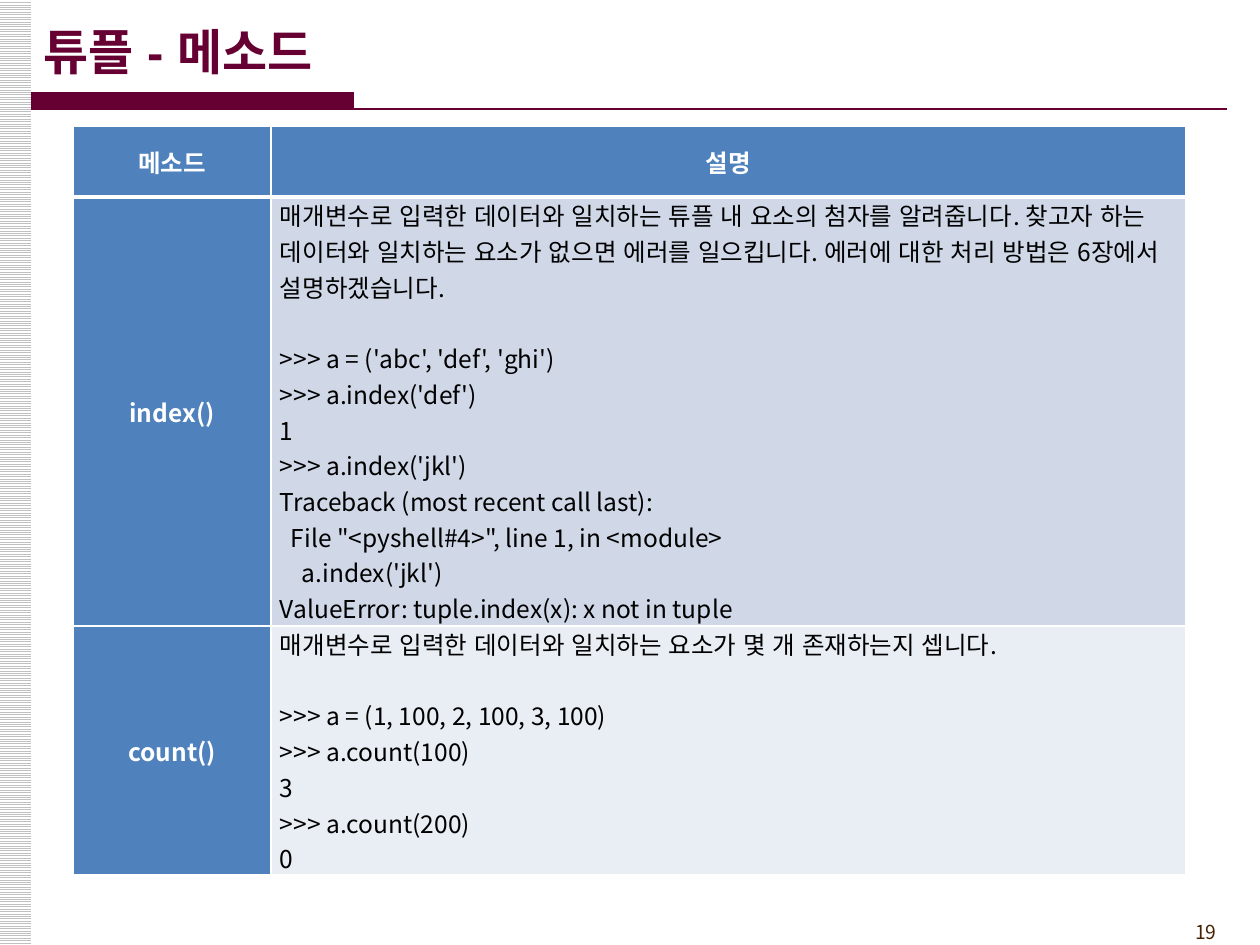
"""Build the slide that describes the tuple methods index() and count()."""
from dataclasses import dataclass

from lxml.etree import SubElement
from pptx import Presentation
from pptx.dml.color import RGBColor
from pptx.enum.dml import MSO_PATTERN
from pptx.enum.lang import MSO_LANGUAGE_ID
from pptx.enum.shapes import MSO_CONNECTOR, MSO_SHAPE
from pptx.enum.text import MSO_ANCHOR, PP_ALIGN
from pptx.oxml.ns import qn
from pptx.util import Emu, Pt

PX_PER_INCH = 126
BODY_FONT = "Noto Sans CJK KR"
TITLE_FONT = "Arial"
WINE = RGBColor(0x66, 0x00, 0x33)
BROWN = RGBColor(0x45, 0x21, 0x03)
SILVER = RGBColor(0xC0, 0xC0, 0xC0)
WHITE = RGBColor(0xFF, 0xFF, 0xFF)
BLACK = RGBColor(0x00, 0x00, 0x00)
BLUE = RGBColor(0x4F, 0x81, 0xBD)
BAND_DARK = RGBColor(0xD0, 0xD8, 0xE8)
BAND_LIGHT = RGBColor(0xE9, 0xED, 0xF4)
CODE_GAP = Pt(20.4)
COLUMN_WIDTHS = (198, 915)
HEADERS = ("메소드", "설명")
HEADER_HEIGHT = 71


@dataclass(frozen=True)
class Box:
    left: int
    top: int
    width: int
    height: int

    def emu(self) -> tuple:
        return tuple(px(v) for v in (self.left, self.top, self.width, self.height))


@dataclass(frozen=True)
class TextStyle:
    size: int
    color: RGBColor
    bold: bool = False
    font: str = BODY_FONT
    align: PP_ALIGN = PP_ALIGN.LEFT


@dataclass(frozen=True)
class CodeLine:
    text: str
    indent: int = 0


@dataclass(frozen=True)
class Method:
    name: str
    description: str
    code: tuple
    height: int
    fill: RGBColor


TITLE = TextStyle(28, WINE, True, TITLE_FONT)
PAGE_NUMBER = TextStyle(11, BROWN, align=PP_ALIGN.RIGHT)
HEADING = TextStyle(14, WHITE, True, align=PP_ALIGN.CENTER)
BODY = TextStyle(14, BLACK)

METHODS = (
    Method(
        "index()",
        "매개변수로 입력한 데이터와 일치하는 튜플 내 요소의 첨자를 알려줍니다. "
        "찾고자 하는 데이터와 일치하는 요소가 없으면 에러를 일으킵니다. "
        "에러에 대한 처리 방법은 6장에서 설명하겠습니다.",
        (
            CodeLine(">>> a = ('abc', 'def', 'ghi')"),
            CodeLine(">>> a.index('def')"),
            CodeLine("1"),
            CodeLine(">>> a.index('jkl')"),
            CodeLine("Traceback (most recent call last):"),
            CodeLine('File "<pyshell#4>", line 1, in <module>', 11),
            CodeLine("a.index('jkl')", 22),
            CodeLine("ValueError: tuple.index(x): x not in tuple"),
        ),
        429,
        BAND_DARK,
    ),
    Method(
        "count()",
        "매개변수로 입력한 데이터와 일치하는 요소가 몇 개 존재하는지 셉니다.",
        (
            CodeLine(">>> a = (1, 100, 2, 100, 3, 100)"),
            CodeLine(">>> a.count(100)"),
            CodeLine("3"),
            CodeLine(">>> a.count(200)"),
            CodeLine("0"),
        ),
        249,
        BAND_LIGHT,
    ),
)


def px(value: int) -> Emu:
    return Emu(round(value * 914400 / PX_PER_INCH))


def write(paragraph, text: str, style: TextStyle) -> None:
    paragraph.text = text
    paragraph.alignment = style.align
    for run in paragraph.runs:
        font = run.font
        font.name, font.size, font.bold = style.font, Pt(style.size), style.bold
        font.color.rgb = style.color
        font.language_id = MSO_LANGUAGE_ID.KOREAN
        SubElement(font._element, qn("a:ea"), typeface=BODY_FONT)


def add_text(slide, box: Box, text: str, style: TextStyle) -> None:
    text_frame = slide.shapes.add_textbox(*box.emu()).text_frame
    text_frame.word_wrap = True
    text_frame.vertical_anchor = MSO_ANCHOR.MIDDLE
    write(text_frame.paragraphs[0], text, style)


def add_rectangle(slide, box: Box):
    shape = slide.shapes.add_shape(MSO_SHAPE.RECTANGLE, *box.emu())
    shape.shadow.inherit = False
    shape.line.fill.background()
    return shape


def add_frame(slide) -> None:
    fill = add_rectangle(slide, Box(-1, 0, 32, 945)).fill
    fill.patterned()
    fill.pattern = MSO_PATTERN.LIGHT_HORIZONTAL
    fill.fore_color.rgb, fill.back_color.rgb = SILVER, WHITE

    bar = add_rectangle(slide, Box(31, 92, 323, 17))
    bar.fill.solid()
    bar.fill.fore_color.rgb = WINE

    rule = slide.shapes.add_connector(
        MSO_CONNECTOR.STRAIGHT, px(31), px(109), px(1227), px(109))
    rule.line.color.rgb, rule.line.width = WINE, Pt(1.5)
    SubElement(rule._element.spPr, qn("a:effectLst"))


def style_cell(cell, fill: RGBColor, bottom: int = 1, top: int = 1) -> None:
    properties = cell._tc.get_or_add_tcPr()
    for side, width in (("L", 1), ("R", 1), ("T", top), ("B", bottom)):
        border = SubElement(properties, qn(f"a:ln{side}"), w=str(Pt(width)))
        solid = SubElement(border, qn("a:solidFill"))
        SubElement(solid, qn("a:srgbClr"), val=str(WHITE))
    cell.fill.solid()
    cell.fill.fore_color.rgb = fill
    cell.vertical_anchor = MSO_ANCHOR.MIDDLE
    cell.margin_left = cell.margin_right = px(9)
    cell.margin_top = cell.margin_bottom = 0


def fill_description(cell, method: Method) -> None:
    text_frame = cell.text_frame
    write(text_frame.paragraphs[0], method.description, BODY)
    for index, line in enumerate(method.code):
        paragraph = text_frame.add_paragraph()
        write(paragraph, line.text, BODY)
        if index == 0:
            paragraph.space_before = CODE_GAP
        if line.indent:
            paragraph._p.get_or_add_pPr().set("marL", str(px(line.indent)))


def add_method_table(slide) -> None:
    heights = (HEADER_HEIGHT, *(method.height for method in METHODS))
    box = Box(73, 126, sum(COLUMN_WIDTHS), sum(heights))
    table = slide.shapes.add_table(len(heights), len(COLUMN_WIDTHS), *box.emu()).table
    for column, width in zip(table.columns, COLUMN_WIDTHS):
        column.width = px(width)
    for row, height in zip(table.rows, heights):
        row.height = px(height)
    for index, header in enumerate(HEADERS):
        cell = table.cell(0, index)
        style_cell(cell, BLUE, bottom=3)
        write(cell.text_frame.paragraphs[0], header, HEADING)
    for index, method in enumerate(METHODS, start=1):
        name, description = table.cell(index, 0), table.cell(index, 1)
        top = 3 if index == 1 else 1
        style_cell(name, BLUE, top=top)
        style_cell(description, method.fill, top=top)
        write(name.text_frame.paragraphs[0], method.name, HEADING)
        fill_description(description, method)


def main() -> None:
    presentation = Presentation()
    presentation.slide_width, presentation.slide_height = px(1260), px(945)
    slide = presentation.slides.add_slide(presentation.slide_layouts[6])
    add_frame(slide)
    add_text(slide, Box(1124, 913, 105, 37), "19", PAGE_NUMBER)
    add_text(slide, Box(31, 11, 1042, 79), "튜플 - 메소드", TITLE)
    add_method_table(slide)
    presentation.save("out.pptx")


if __name__ == "__main__":
    main()
